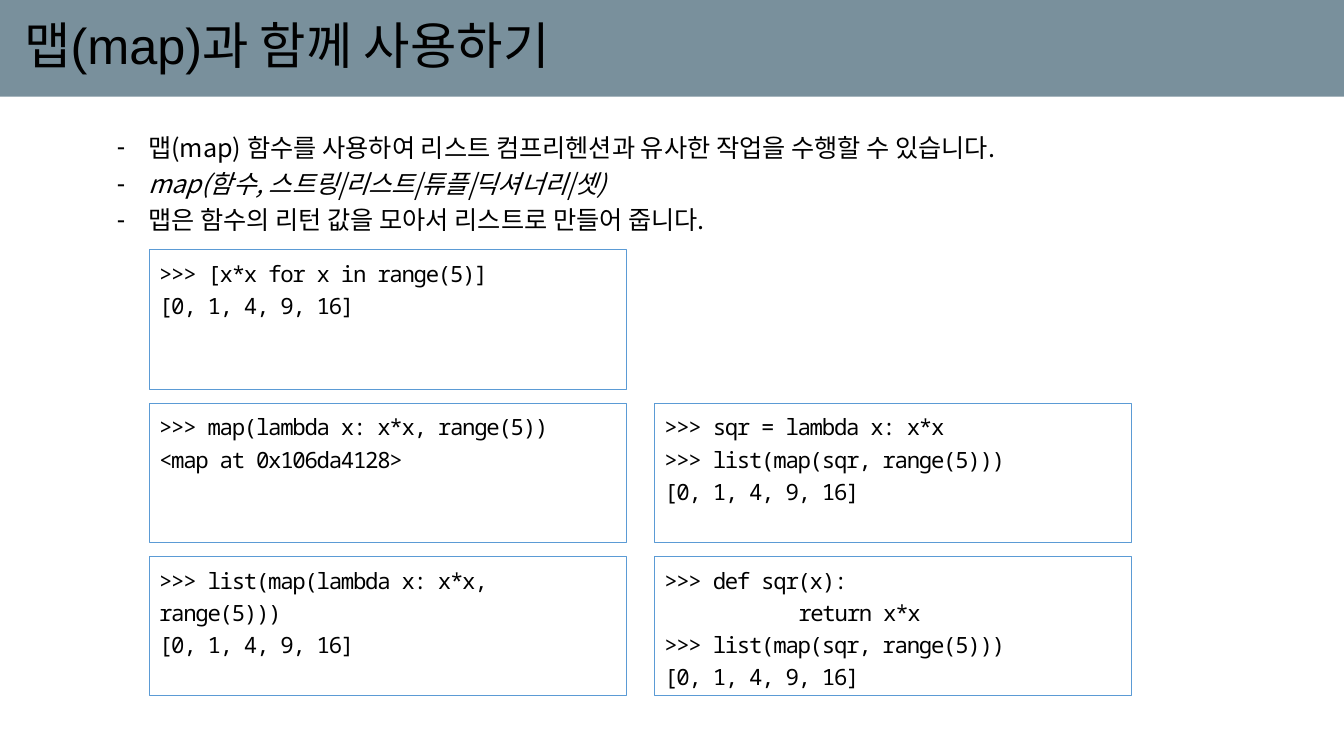
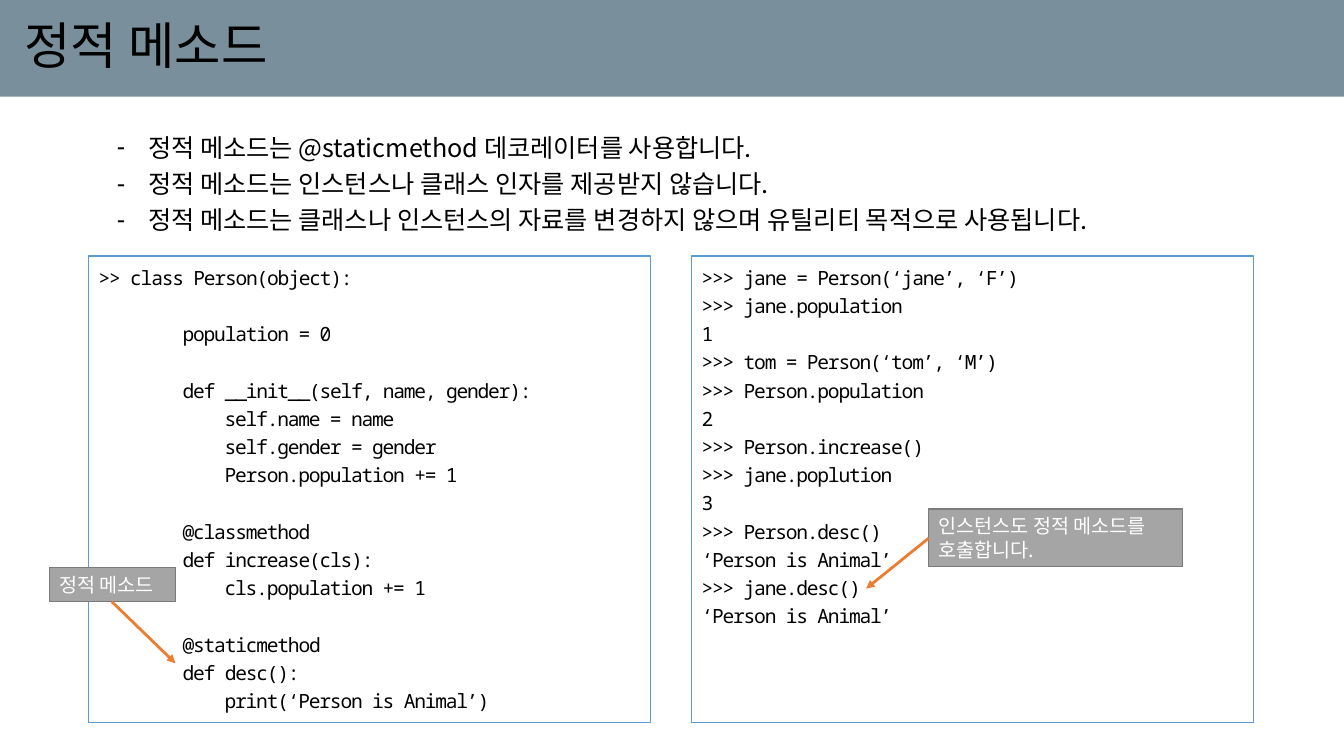
from dataclasses import dataclass
from typing import NamedTuple

from lxml.etree import SubElement
from pptx import Presentation
from pptx.dml.color import RGBColor
from pptx.enum.shapes import MSO_CONNECTOR as Connector, MSO_SHAPE as Shape
from pptx.enum.text import MSO_ANCHOR as Anchor, MSO_AUTO_SIZE as AutoSize, PP_ALIGN as Align
from pptx.oxml.ns import qn
from pptx.util import Inches, Pt


@dataclass(frozen=True)
class Theme:
    ink: str = "000000"
    band: str = "79909C"
    code_border: str = "5B9BD5"
    callout_fill: str = "A5A5A5"
    callout_border: str = "7A7A7A"
    callout_ink: str = "FFFFFF"
    arrow: str = "ED7D31"
    title_font: str = "Arial"
    text_font: str = "Noto Sans CJK KR"
    code_font: str = "Noto Sans Mono"
    title_size: int = 36
    point_size: int = 18
    code_size: int = 16
    listing_size: int = 14
    callout_size: int = 14
    tracking: float = -0.9
    leading: float = 1.2


class Box(NamedTuple):
    left: float
    top: float
    width: float
    height: float

    def inches(self):
        return [Inches(length) for length in self]


THEME = Theme()
SLIDE = Box(0, 0, 13.33, 7.5)
BAND = Box(0, 0, SLIDE.width, 0.96)
POINTS = Box(1.06, 1.2, 10.98, 1.19)
SNIPPET_GRID = Box(1.48, 2.48, 9.74, 4.42)
LISTING_GRID = Box(0.88, 2.54, 11.55, 4.63)


def color(value):
    return RGBColor.from_string(value)


def move(shape, box):
    shape.left, shape.top, shape.width, shape.height = box.inches()


def add_run(paragraph, text, font, size, ink, italic=False, tracking=0):
    run = paragraph.add_run()
    run.text = text
    run.font.size = Pt(size)
    run.font.italic = italic
    run.font.color.rgb = color(ink)
    run.font.name = font
    properties = run._r.get_or_add_rPr()
    SubElement(properties, qn("a:ea")).set("typeface", THEME.text_font)
    if tracking:
        properties.set("spc", str(round(tracking * 100)))


def paragraphs(frame, lines):
    for number, line in enumerate(lines):
        yield (frame.add_paragraph() if number else frame.paragraphs[0]), line


def set_indent(paragraph, left, first=0):
    properties = paragraph._p.get_or_add_pPr()
    properties.set("marL", str(left))
    properties.set("indent", str(first))
    return properties


def add_panel(slide, box, border, width, fill=None):
    panel = slide.shapes.add_shape(Shape.RECTANGLE, *box.inches())
    panel.shadow.inherit = False
    if fill:
        panel.fill.solid()
        panel.fill.fore_color.rgb = color(fill)
    else:
        panel.fill.background()
    panel.line.color.rgb = color(border)
    panel.line.width = Pt(width)
    panel.text_frame.word_wrap = True
    panel.text_frame.vertical_anchor = Anchor.TOP
    return panel.text_frame


def add_title(slide, box, text):
    title = slide.shapes.title
    move(title, box)
    title.fill.solid()
    title.fill.fore_color.rgb = color(THEME.band)
    frame = title.text_frame
    frame.auto_size = AutoSize.NONE
    frame.vertical_anchor = Anchor.MIDDLE
    frame.margin_left = Inches(0.24)
    heading = frame.paragraphs[0]
    heading.alignment = Align.LEFT
    heading.line_spacing = 0.9
    add_run(heading, text, THEME.title_font, THEME.title_size, THEME.ink)


def add_points(slide, box, points, italic_point=None):
    body = slide.placeholders[1]
    move(body, box)
    body.text_frame.auto_size = AutoSize.NONE
    for paragraph, point in paragraphs(body.text_frame, points):
        paragraph.line_spacing = THEME.leading
        paragraph.space_before = Pt(0)
        properties = set_indent(paragraph, Inches(0.31), -Inches(0.31))
        SubElement(properties, qn("a:buChar")).set("char", "-")
        add_run(paragraph, point, THEME.text_font, THEME.point_size, THEME.ink,
                italic=point == italic_point)


def add_code(slide, box, code, size):
    frame = add_panel(slide, box, THEME.code_border, 0.75)
    letter_width = 0.6 * size + THEME.tracking
    line_height = 1.2 * THEME.leading * size
    lines, gap = [], 0
    for line in code:
        if line:
            lines.append((line, gap))
        gap = 0 if line else gap + line_height
    for paragraph, (line, space) in paragraphs(frame, lines):
        statement = line.lstrip()
        paragraph.alignment = Align.LEFT
        paragraph.line_spacing = THEME.leading
        paragraph.space_before = Pt(space)
        set_indent(paragraph, Pt((len(line) - len(statement)) * letter_width))
        add_run(paragraph, statement, THEME.code_font, size, THEME.ink,
                tracking=THEME.tracking)


def add_code_grid(slide, box, cells, columns, rows, gap_x, gap_y, size):
    width = (box.width - gap_x * (columns - 1)) / columns
    height = (box.height - gap_y * (rows - 1)) / rows
    for (column, row), code in cells.items():
        cell = Box(box.left + column * (width + gap_x),
                   box.top + row * (height + gap_y), width, height)
        add_code(slide, cell, code, size)


def add_callout(slide, box, text, start, tip):
    frame = add_panel(slide, box, THEME.callout_border, 1, THEME.callout_fill)
    label = frame.paragraphs[0]
    label.alignment = Align.LEFT
    add_run(label, text, THEME.text_font, THEME.callout_size, THEME.callout_ink)
    ends = [Inches(origin + offset) for point in (start, tip)
            for origin, offset in zip((box.left, box.top), point)]
    arrow = slide.shapes.add_connector(Connector.STRAIGHT, *ends)
    arrow.line.color.rgb = color(THEME.arrow)
    arrow.line.width = Pt(2)
    SubElement(arrow.line._get_or_add_ln(), qn("a:tailEnd")).set("type", "triangle")
    SubElement(arrow._element.spPr, qn("a:effectLst"))


def add_topic(deck, title, points, italic_point=None):
    slide = deck.slides.add_slide(deck.slide_layouts[1])
    add_title(slide, BAND, title)
    add_points(slide, POINTS, points, italic_point)
    return slide


def build_map_slide(deck):
    signature = "map(함수, 스트링|리스트|튜플|딕셔너리|셋)"
    slide = add_topic(deck, "맵(map)과 함께 사용하기", [
        "맵(map) 함수를 사용하여 리스트 컴프리헨션과 유사한 작업을 수행할 수 있습니다.",
        signature,
        "맵은 함수의 리턴 값을 모아서 리스트로 만들어 줍니다.",
    ], signature)
    squares = "[0, 1, 4, 9, 16]"
    mapped = ">>> list(map(sqr, range(5)))"
    snippets = {
        (0, 0): [">>> [x*x for x in range(5)]", squares],
        (0, 1): [">>> map(lambda x: x*x, range(5))", "<map at 0x106da4128>"],
        (0, 2): [">>> list(map(lambda x: x*x, range(5)))", squares],
        (1, 1): [">>> sqr = lambda x: x*x", mapped, squares],
        (1, 2): [">>> def sqr(x):", "           return x*x", mapped, squares],
    }
    add_code_grid(slide, SNIPPET_GRID, snippets, 2, 3, 0.28, 0.14, THEME.code_size)


def build_static_method_slide(deck):
    slide = add_topic(deck, "정적 메소드", [
        "정적 메소드는 @staticmethod 데코레이터를 사용합니다.",
        "정적 메소드는 인스턴스나 클래스 인자를 제공받지 않습니다.",
        "정적 메소드는 클래스나 인스턴스의 자료를 변경하지 않으며 유틸리티 목적으로 사용됩니다.",
    ])
    definition = [
        ">> class Person(object):",
        "",
        "        population = 0",
        "",
        "        def __init__(self, name, gender):",
        "            self.name = name",
        "            self.gender = gender",
        "            Person.population += 1",
        "",
        "        @classmethod",
        "        def increase(cls):",
        "            cls.population += 1",
        "",
        "        @staticmethod",
        "        def desc():",
        "            print(‘Person is Animal’)",
    ]
    session = [
        ">>> jane = Person(‘jane’, ‘F’)",
        ">>> jane.population",
        "1",
        ">>> tom = Person(‘tom’, ‘M’)",
        ">>> Person.population",
        "2",
        ">>> Person.increase()",
        ">>> jane.poplution",
        "3",
        ">>> Person.desc()",
        "‘Person is Animal’",
        ">>> jane.desc()",
        "‘Person is Animal’",
    ]
    listings = {(0, 0): definition, (1, 0): session}
    add_code_grid(slide, LISTING_GRID, listings, 2, 1, 0.41, 0, THEME.listing_size)
    add_callout(slide, Box(0.49, 5.63, 1.25, 0.34), "정적 메소드",
                (0.62, 0.34), (1.25, 0.95))
    add_callout(slide, Box(9.21, 5.05, 2.52, 0.57), "인스턴스도 정적 메소드를 호출합니다.",
                (0, 0.29), (-0.62, 0.79))


def main():
    deck = Presentation()
    deck.slide_width = Inches(SLIDE.width)
    deck.slide_height = Inches(SLIDE.height)
    build_map_slide(deck)
    build_static_method_slide(deck)
    deck.save("out.pptx")


if __name__ == "__main__":
    main()
